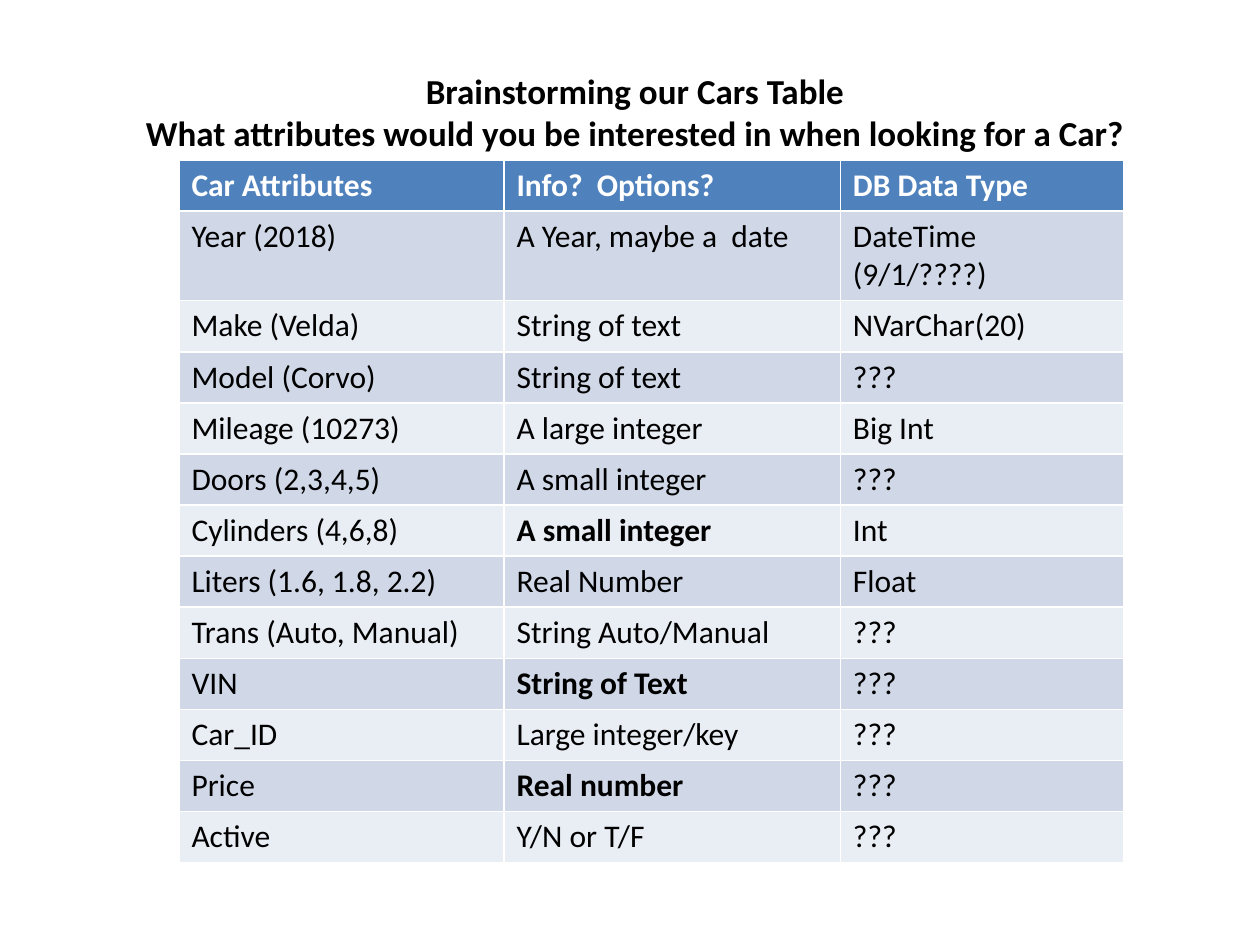
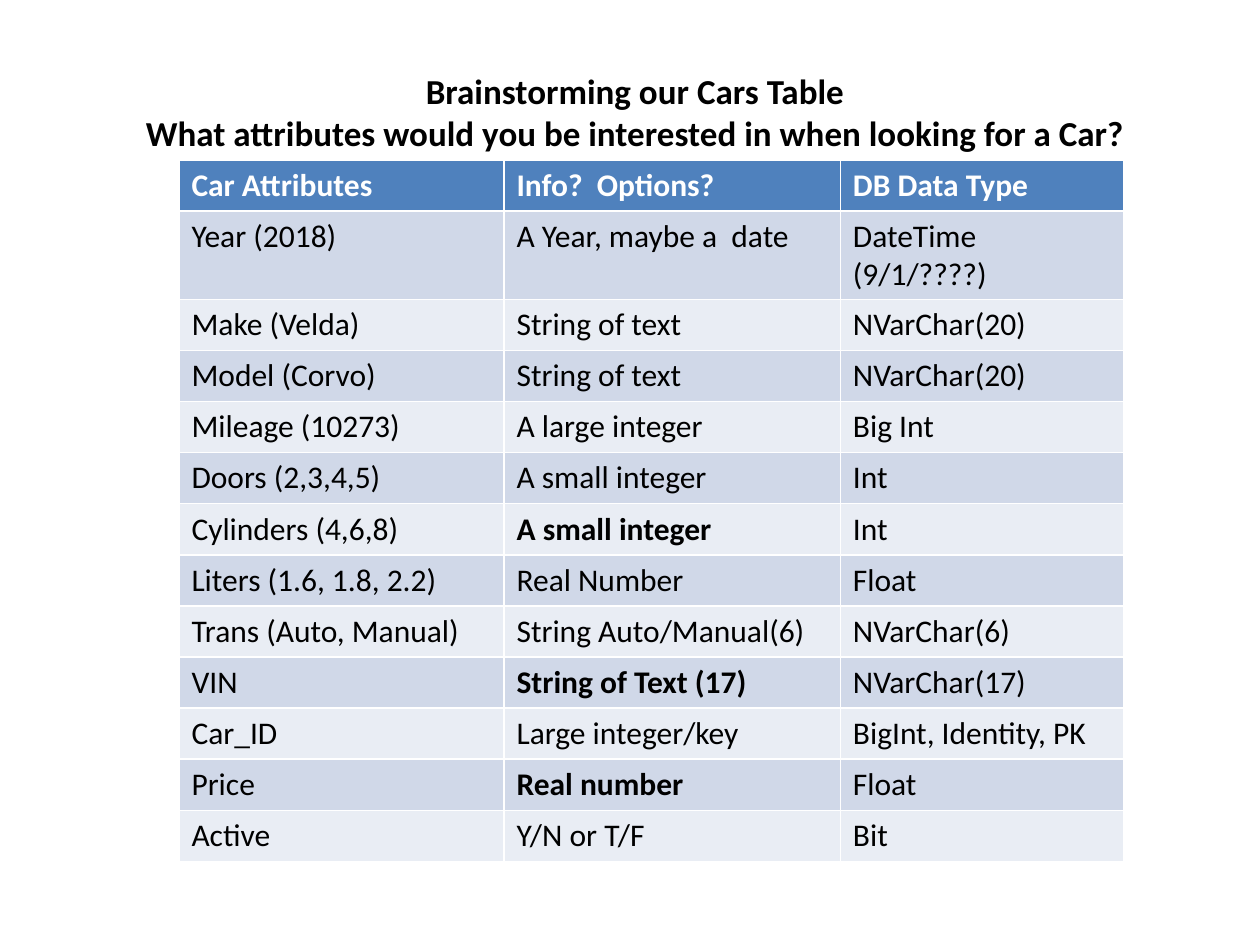
from pptx import Presentation
from pptx.dml.color import RGBColor
from pptx.enum.text import PP_ALIGN as Align
from pptx.util import Inches, Pt

TITLE = ["Brainstorming our Cars Table",
         "What attributes would you be interested in when looking for a Car?"]
HEAD = ("Car Attributes", "Info?  Options?", "DB Data Type")
CARS = [
    ("Year (2018)", "A Year, maybe a  date", "DateTime\n(9/1/????)"),
    ("Make (Velda)", "String of text", "NVarChar(20)"),
    ("Model (Corvo)", "String of text", "NVarChar(20)"),
    ("Mileage (10273)", "A large integer", "Big Int"),
    ("Doors (2,3,4,5)", "A small integer", "Int"),
    ("Cylinders (4,6,8)", "A small integer", "Int"),
    ("Liters (1.6, 1.8, 2.2)", "Real Number", "Float"),
    ("Trans (Auto, Manual)", "String Auto/Manual(6)", "NVarChar(6)"),
    ("VIN", "String of Text (17)", "NVarChar(17)"),
    ("Car_ID", "Large integer/key", "BigInt, Identity, PK"),
    ("Price", "Real number", "Float"),
    ("Active", "Y/N or T/F", "Bit"),
]
BOLD = {"Cylinders (4,6,8)", "VIN", "Price"}  # rows with a bold middle cell
ASKED = {"Model (Corvo)", "Doors (2,3,4,5)", "Trans (Auto, Manual)",
         "VIN", "Car_ID", "Price", "Active"}  # types left open at first
SHORT = {"Trans (Auto, Manual)": "String Auto/Manual",
         "VIN": "String of Text"}  # wording before the lengths are known

FONT = "Calibri"
BLACK = RGBColor(0x00, 0x00, 0x00)
WHITE = RGBColor(0xFF, 0xFF, 0xFF)
BLUE = RGBColor(0x4F, 0x81, 0xBD)
BANDS = (RGBColor(0xD0, 0xD8, 0xE8), RGBColor(0xE9, 0xED, 0xF4))

COLS = (2.58, 2.67, 2.25)
HIGH, TALL = 5.57, 0.7  # whole table, two-line row
ROW = (HIGH - TALL) / len(CARS)


def write(frame, lines, size, color, bold, align=None):
    for i, line in enumerate(lines):
        para = frame.paragraphs[0] if i == 0 else frame.add_paragraph()
        if align is not None:
            para.alignment = align
        run = para.add_run()
        run.text = line
        font = run.font
        font.name, font.size, font.bold = FONT, Pt(size), bold
        font.color.rgb = color


def quiz(cars):
    """Hide the answers that the class has yet to find."""
    return [(name, SHORT.get(name, info), "???" if name in ASKED else kind)
            for name, info, kind in cars]


def add_grid(slide, cars):
    rows = [HEAD] + cars
    grid = slide.shapes.add_table(
        len(rows), len(COLS), Inches(1.42), Inches(1.27),
        Inches(sum(COLS)), Inches(HIGH)).table
    for col, width in zip(grid.columns, COLS):
        col.width = Inches(width)
    for r, row in enumerate(rows):
        two = any("\n" in text for text in row)
        grid.rows[r].height = Inches(TALL if two else ROW)
        for c, text in enumerate(row):
            cell = grid.cell(r, c)
            cell.fill.solid()
            cell.fill.fore_color.rgb = BANDS[(r - 1) % 2] if r else BLUE
            bold = r == 0 or (c == 1 and row[0] in BOLD)
            write(cell.text_frame, text.split("\n"), 18,
                  BLACK if r else WHITE, bold)


def add_title(slide):
    box = slide.shapes.add_textbox(
        Inches(0.5), Inches(0.5), Inches(9.08), Inches(0.77))
    box.text_frame.word_wrap = True
    write(box.text_frame, TITLE, 20, BLACK, True, Align.CENTER)


def main():
    deck = Presentation()
    deck.slide_width, deck.slide_height = Inches(10), Inches(7.5)
    for cars in (quiz(CARS), CARS):
        slide = deck.slides.add_slide(deck.slide_layouts[6])
        add_grid(slide, cars)
        add_title(slide)
    deck.save("out.pptx")


if __name__ == "__main__":
    main()
